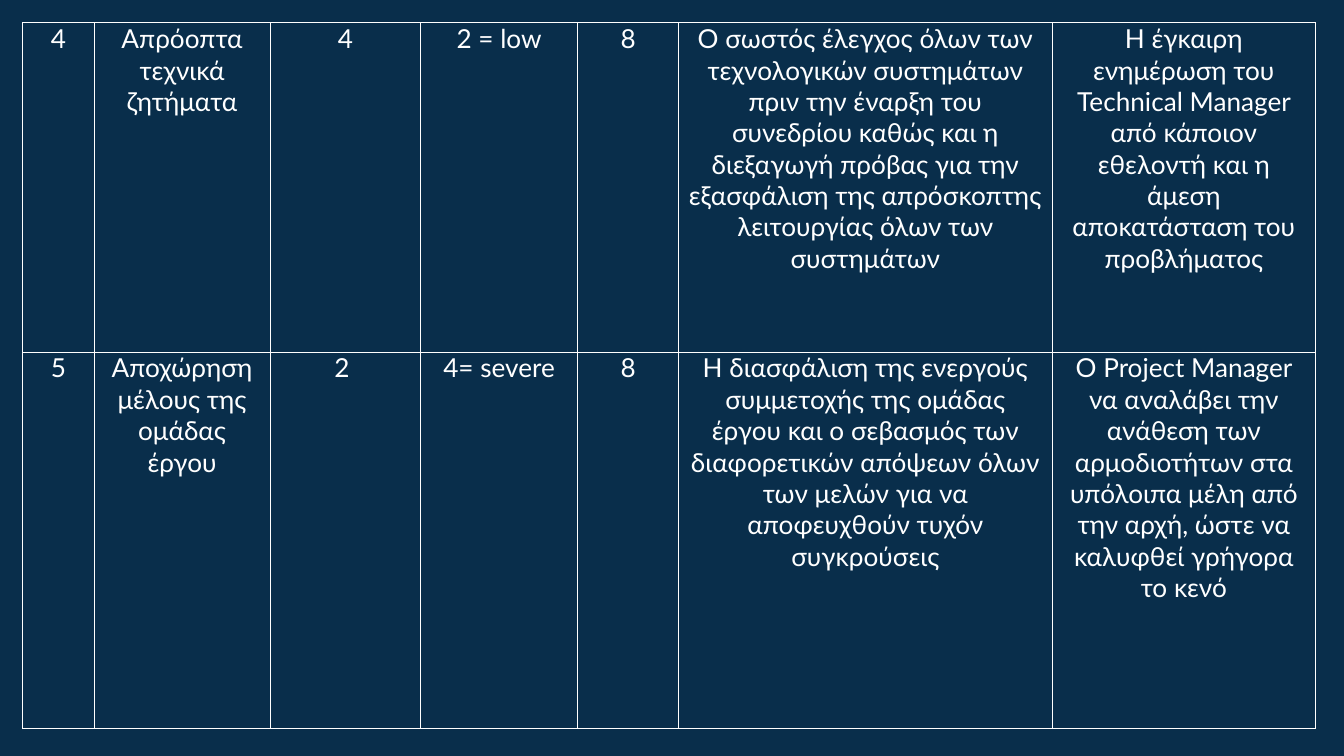
import lxml.etree
import pptx
import pptx.dml.color
import pptx.enum.text
import pptx.oxml.ns
import pptx.util
from dataclasses import dataclass


@dataclass(frozen=True)
class Theme:
    background: str = "092E4B"
    foreground: str = "FFFFFF"
    font: str = "Lato"
    text_size: float = 14
    border_width: float = 0.5


THEME = Theme()
SLIDE_WIDTH = 10
SLIDE_HEIGHT = SLIDE_WIDTH * 9 / 16
MARGIN = 0.17

# Grid tracks in inches
COLUMNS = [0.53, 1.31, 1.12, 1.17, 0.75, 2.78, 1.96]
ROWS = [2.45, 2.8]

# Number, risk, probability, impact, score, prevention, response
RISKS = [
    ["4", "Απρόοπτα τεχνικά ζητήματα", "4", "2 = low", "8",
     "Ο σωστός έλεγχος όλων των τεχνολογικών συστημάτων πριν την έναρξη του "
     "συνεδρίου καθώς και η διεξαγωγή πρόβας για την εξασφάλιση της "
     "απρόσκοπτης λειτουργίας όλων των συστημάτων",
     "Η έγκαιρη ενημέρωση του Technical Manager από κάποιον εθελοντή και η "
     "άμεση αποκατάσταση του προβλήματος"],
    ["5", "Αποχώρηση μέλους της ομάδας έργου", "2 ", "4= severe", "8",
     "Η διασφάλιση της ενεργούς συμμετοχής της ομάδας έργου και ο σεβασμός "
     "των διαφορετικών απόψεων όλων των μελών για να αποφευχθούν τυχόν "
     "συγκρούσεις",
     "Ο Project Manager να αναλάβει την ανάθεση των αρμοδιοτήτων στα υπόλοιπα "
     "μέλη από την αρχή, ώστε να καλυφθεί γρήγορα το κενό"],
]


def color(value):
    return pptx.dml.color.RGBColor.from_string(value)


def apply_format(target, values):
    for name, value in values.items():
        setattr(target, name, value)


def add_borders(cell):
    """Draw a line on each side; lines must come before the cell's fill."""
    properties = cell._tc.get_or_add_tcPr()
    qualified = pptx.oxml.ns.qn
    for index, side in enumerate(("a:lnL", "a:lnR", "a:lnT", "a:lnB")):
        line = lxml.etree.Element(
            qualified(side), w=str(pptx.util.Pt(THEME.border_width)))
        fill = lxml.etree.SubElement(line, qualified("a:solidFill"))
        lxml.etree.SubElement(fill, qualified("a:srgbClr"), val=THEME.foreground)
        properties.insert(index, line)


def fill_cell(cell, text):
    apply_format(cell, {
        "text": text,
        "margin_left": pptx.util.Inches(0.07),
        "margin_right": pptx.util.Inches(0.07),
        "margin_top": 0,
        "margin_bottom": 0,
        "vertical_anchor": pptx.enum.text.MSO_ANCHOR.TOP,
    })
    cell.fill.background()
    add_borders(cell)
    paragraph = cell.text_frame.paragraphs[0]
    paragraph.alignment = pptx.enum.text.PP_ALIGN.CENTER
    font = paragraph.runs[0].font
    apply_format(font, {
        "name": THEME.font,
        "size": pptx.util.Pt(THEME.text_size),
        "bold": False,
    })
    font.color.rgb = color(THEME.foreground)


def add_risk_table(slide):
    bounds = [pptx.util.Inches(length)
              for length in (MARGIN, MARGIN, sum(COLUMNS), sum(ROWS))]
    table = slide.shapes.add_table(len(ROWS), len(COLUMNS), *bounds).table
    apply_format(table, {"first_row": False, "horz_banding": False})
    for column, width in zip(table.columns, COLUMNS):
        column.width = pptx.util.Inches(width)
    for row, height, texts in zip(table.rows, ROWS, RISKS):
        row.height = pptx.util.Inches(height)
        for cell, text in zip(row.cells, texts):
            fill_cell(cell, text)


def main():
    presentation = pptx.Presentation()
    apply_format(presentation, {
        "slide_width": pptx.util.Inches(SLIDE_WIDTH),
        "slide_height": pptx.util.Inches(SLIDE_HEIGHT),
    })
    slide = presentation.slides.add_slide(presentation.slide_layouts[6])

    # Background
    background = slide.background.fill
    background.solid()
    background.fore_color.rgb = color(THEME.background)

    # Risk table
    add_risk_table(slide)
    presentation.save("out.pptx")


if __name__ == "__main__":
    main()
